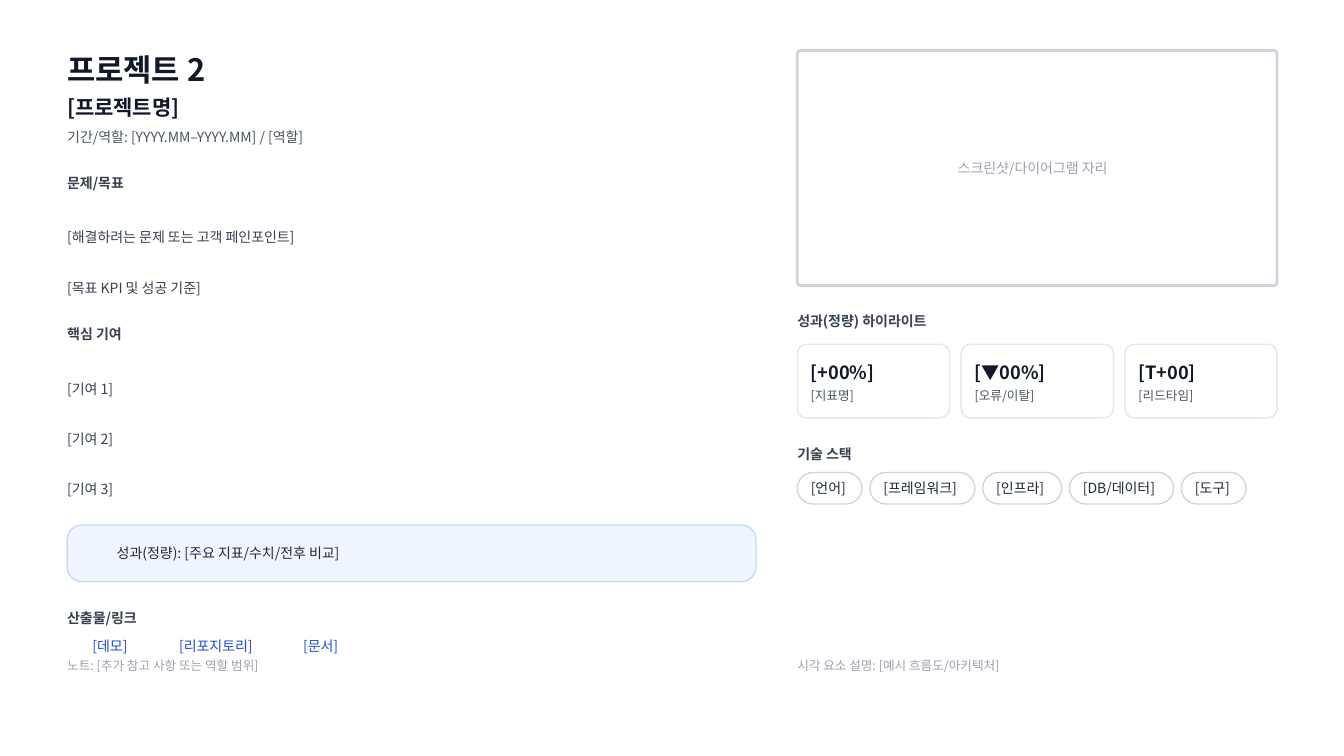
from collections import namedtuple

from lxml.etree import SubElement
from pptx import Presentation
from pptx.dml.color import RGBColor
from pptx.enum.shapes import MSO_SHAPE
from pptx.enum.text import MSO_ANCHOR
from pptx.oxml.ns import qn
from pptx.util import Inches, Pt

COLUMNS, ROWS = 160, 90
CELL = Inches(7.5) / ROWS
FONT = "Noto Sans CJK KR"
COLORS = {
    "white": "FFFFFF", "title": "111827", "body": "1F2937", "heading": "374151",
    "detail": "4B5563", "muted": "9CA3AF", "link": "1D4ED8", "frame": "D1D5DB",
    "card": "E5E7EB", "callout": "EFF6FF", "callout_line": "BFDBFE",
}
Box = namedtuple("Box", "left top width height")


def color(name):
    """Return a palette entry as an RGB colour."""
    return RGBColor.from_string(COLORS[name])


def cells(*lengths):
    """Convert grid cells to slide units."""
    return [round(length * CELL) for length in lengths]


def within(box, x, y, width, height):
    """Return a box placed relative to the corner of another."""
    return Box(box.left + x, box.top + y, width, height)


def add_text(slide, box, words, x, y, width, size=10, ink="heading", bold=False):
    """Add one text in a box whose height follows the text size."""
    area = within(box, x, y, width, size / 4)
    frame = slide.shapes.add_textbox(*cells(*area)).text_frame
    frame.word_wrap = True
    frame.vertical_anchor = MSO_ANCHOR.MIDDLE
    frame.margin_left = frame.margin_right = frame.margin_top = frame.margin_bottom = 0
    run = frame.paragraphs[0].add_run()
    run.text = words
    run.font.size, run.font.bold, run.font.name = Pt(size), bold, FONT
    run.font.color.rgb = color(ink)
    SubElement(run.font._element, qn("a:ea")).set("typeface", FONT)


def add_panel(slide, box, radius, line, fill=None, weight=1):
    """Add a rounded rectangle with an outline."""
    shape = slide.shapes.add_shape(MSO_SHAPE.ROUNDED_RECTANGLE, *cells(*box))
    shape.shadow.inherit = False
    shape.adjustments[0] = radius
    if fill:
        shape.fill.solid()
        shape.fill.fore_color.rgb = color(fill)
    else:
        shape.fill.background()
    shape.line.color.rgb = color(line)
    shape.line.width = Pt(weight)


def add_project(slide, box):
    """Add the title, goals, contributions, result and links."""
    add_text(slide, box, "프로젝트 2", 0, -0.5, 19.92, size=22, ink="title", bold=True)
    add_text(slide, box, "[프로젝트명]", 0, 4.85, 15.24, size=15, ink="title", bold=True)
    add_text(slide, box, "기간/역할: [YYYY.MM–YYYY.MM] / [역할]", 0, 9, 31.8, ink="detail")
    sections = [
        (14.5, "문제/목표", 8.4, [("[해결하려는 문제 또는 고객 페인포인트]", 30.36),
                              ("[목표 KPI 및 성공 기준]", 18.6)]),
        (32.5, "핵심 기여", 8.28, [(f"[기여 {number}]", 7.2) for number in (1, 2, 3)]),
        (66.25, "산출물/링크", 10.08, []),
    ]
    for top, heading, heading_width, items in sections:
        add_text(slide, box, heading, 0, top, heading_width, bold=True)
        for index, (words, width) in enumerate(items):
            add_text(slide, box, words, 0, top + 6.5 + 6 * index, width)
    callout = within(box, 0, 56.5, box.width, 6.75)
    add_panel(slide, callout, 0.26, "callout_line", fill="callout")
    add_text(slide, callout, "성과(정량): [주요 지표/수치/전후 비교]", 5.9, 2.1, 29.52, ink="body")
    for words, x, width in [("[데모]", 3, 5.76), ("[리포지토리]", 13.32, 10.56),
                            ("[문서]", 28.08, 5.76)]:
        add_text(slide, box, words, x, 69.7, width, ink="link")
    add_text(slide, box, "노트: [추가 참고 사항 또는 역할 범위]", 0, 72.1, 24.48, size=9, ink="muted")


def add_metrics(slide, box):
    """Add a row of equal metric cards."""
    metrics = [("[+00%]", 9.72, "[지표명]", 6.36), ("[▼00%]", 10.68, "[오류/이탈]", 8.28),
               ("[T+00]", 8.88, "[리드타임]", 7.8)]
    gap = 1.4
    width = (box.width - gap * (len(metrics) - 1)) / len(metrics)
    for index, (value, value_width, label, label_width) in enumerate(metrics):
        card = within(box, index * (width + gap), 0, width, box.height)
        add_panel(slide, card, 0.12, "card")
        add_text(slide, card, value, 1.6, 1.7, value_width, size=13, ink="title", bold=True)
        add_text(slide, card, label, 1.6, 5, label_width, size=9, ink="detail")


def add_chips(slide, box):
    """Add a row of pills, each as wide as its label needs."""
    x = 0
    for words, width in [("[언어]", 5.76), ("[프레임워크]", 10.56), ("[인프라]", 7.44),
                         ("[DB/데이터]", 10.44), ("[도구]", 5.76)]:
        chip = within(box, x, 0, width + 1.95, box.height)
        add_panel(slide, chip, 0.5, "frame", fill="white")
        add_text(slide, chip, words, 1.6, 0.6, width, ink="body")
        x += chip.width + 0.93


def add_evidence(slide, box):
    """Add the screenshot frame, metrics, stack and caption."""
    add_panel(slide, within(box, 0, 0, box.width, 28), 0.015, "frame", fill="white", weight=2)
    add_text(slide, box, "스크린샷/다이어그램 자리", 19.1, 12.75, 20.28, ink="muted")
    add_text(slide, box, "성과(정량) 하이라이트", 0, 31, 17.64, bold=True)
    add_metrics(slide, within(box, 0, 35, box.width, 8.75))
    add_text(slide, box, "기술 스택", 0, 46.8, 8.28, bold=True)
    add_chips(slide, within(box, 0, 50.25, box.width, 3.75))
    add_text(slide, box, "시각 요소 설명: [예시 흐름도/아키텍처]", 0, 72.1, 25.68, size=9, ink="muted")


def main():
    """Build the project slide and save it."""
    presentation = Presentation()
    presentation.slide_width, presentation.slide_height = cells(COLUMNS, ROWS)
    slide = presentation.slides.add_slide(presentation.slide_layouts[6])
    slide.background.fill.solid()
    slide.background.fill.fore_color.rgb = color("white")
    add_project(slide, Box(8, 6, 82, 78))
    add_evidence(slide, Box(94.92, 6, 57.12, 78))
    presentation.save("out.pptx")


if __name__ == "__main__":
    main()
